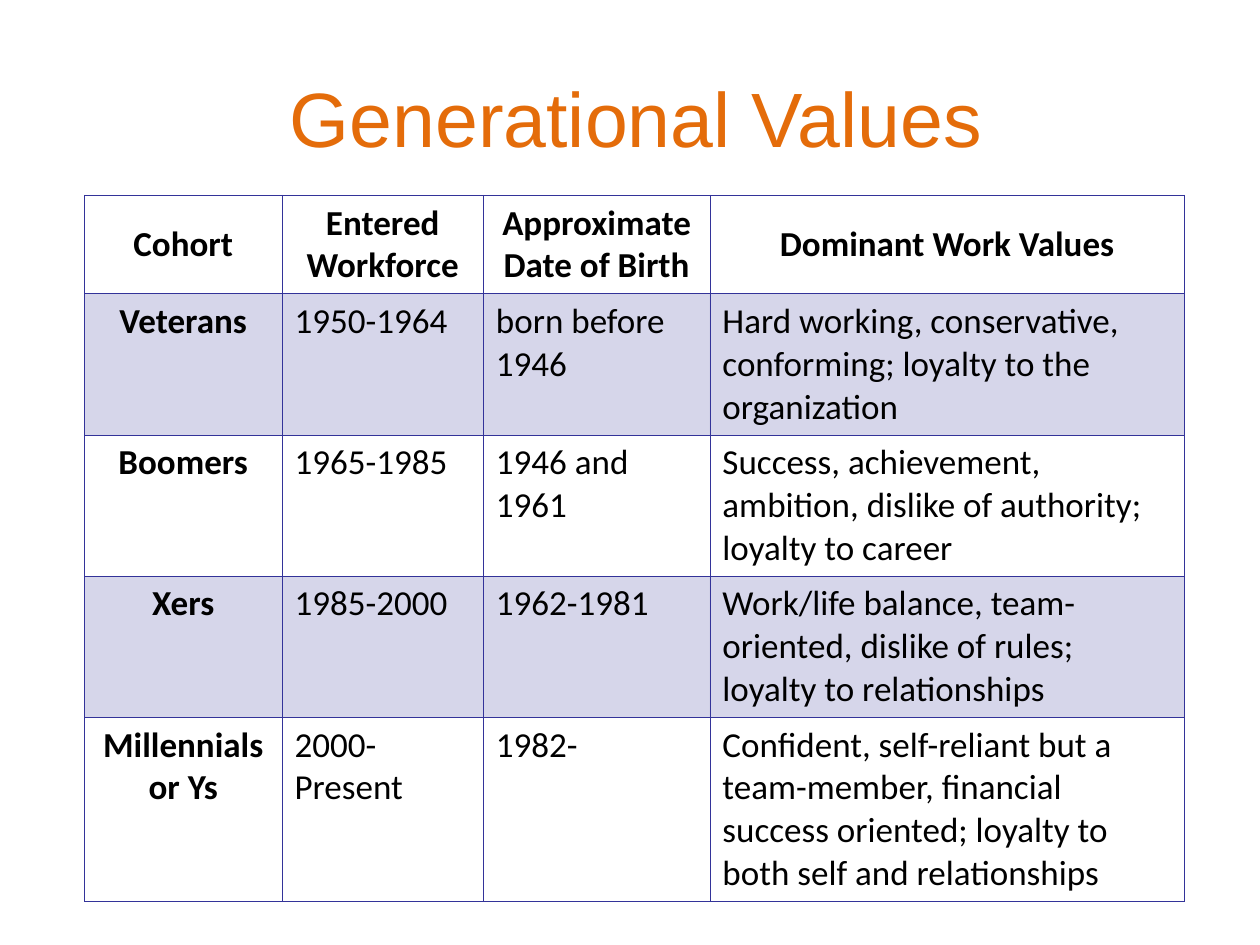
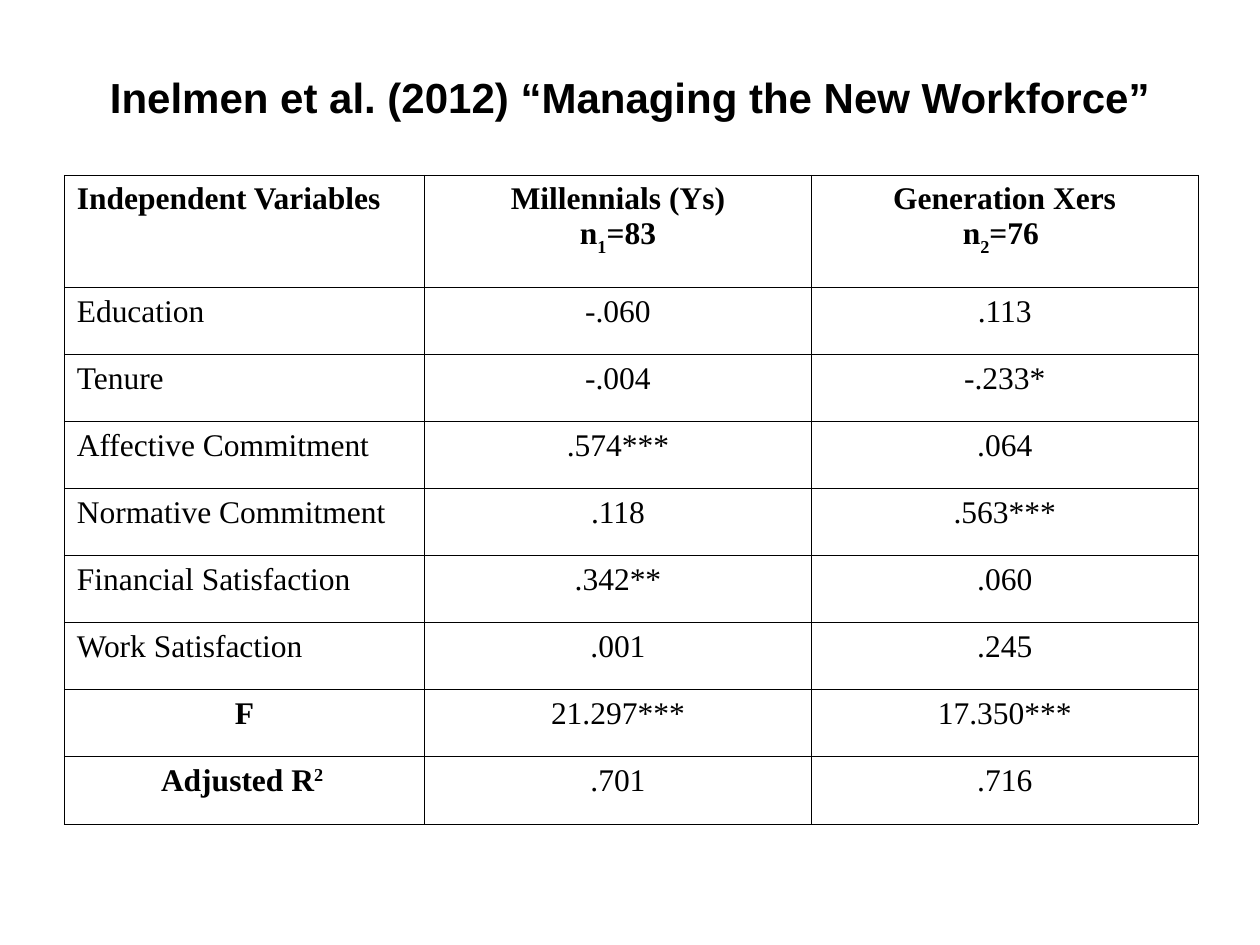
from dataclasses import dataclass
from typing import NamedTuple

from lxml.etree import SubElement
from pptx import Presentation
from pptx.dml.color import RGBColor
from pptx.enum.text import MSO_ANCHOR, PP_ALIGN
from pptx.oxml import parse_xml
from pptx.oxml.ns import nsdecls, qn
from pptx.util import Inches, Pt

PAGE_WIDTH, PAGE_HEIGHT = Inches(10), Inches(7.5)
GRID_COLUMNS, GRID_ROWS = 100, 75
BLACK, ORANGE, INDIGO = "000000", "E46C0A", "333399"
THIN, THICK = 0.45, 0.96
BAND_OPACITY = 20
HANGING = Inches(0.38)
LOWERED, RAISED = -30, 30


class Area(NamedTuple):
    left: float
    top: float
    width: float
    height: float

    def lengths(self) -> tuple[int, int, int, int]:
        across, down = PAGE_WIDTH / GRID_COLUMNS, PAGE_HEIGHT / GRID_ROWS
        return (round(self.left * across), round(self.top * down),
                round(self.width * across), round(self.height * down))


class Span(NamedTuple):
    text: str
    baseline: int = 0


@dataclass(frozen=True)
class Title:
    text: str
    area: Area
    size: int
    color: str
    bold: bool = False
    left_inset: float = 0.1


@dataclass(frozen=True)
class Entry:
    lines: tuple[tuple[Span, ...], ...]
    bold: bool = False
    align: PP_ALIGN = PP_ALIGN.LEFT
    anchor: MSO_ANCHOR = MSO_ANCHOR.TOP
    banded: bool = False


@dataclass(frozen=True)
class Grid:
    area: Area
    column_weights: tuple[float, ...]
    row_weights: tuple[float, ...]
    entries: list[list[Entry]]
    font: str
    size: int
    line_color: str
    header_line: float = THIN
    hanging: int = 0


def rgb(color: str) -> RGBColor:
    return RGBColor.from_string(color)


def entry(text: str, **style) -> Entry:
    return Entry(tuple((Span(line),) for line in text.split("\n")), **style)


def write(para, spans, *, font: str, size: int, color: str = BLACK,
          bold: bool = False, align: PP_ALIGN = PP_ALIGN.LEFT,
          hanging: int = 0) -> None:
    para.alignment = align
    if hanging:
        properties = para._p.get_or_add_pPr()
        properties.set("marL", str(hanging))
        properties.set("indent", str(-hanging))
    for span in spans:
        run = para.add_run()
        run.text = span.text
        run.font.name, run.font.size, run.font.bold = font, Pt(size), bold
        run.font.color.rgb = rgb(color)
        if span.baseline:
            run.font._element.set("baseline", str(span.baseline * 1000))


def paint_cell(cell, banded: bool) -> None:
    if not banded:
        cell.fill.background()
        return
    cell.fill.solid()
    cell.fill.fore_color.rgb = rgb(INDIGO)
    tint = cell._tc.tcPr.find(f".//{qn('a:srgbClr')}")
    SubElement(tint, qn("a:alpha")).set("val", str(BAND_OPACITY * 1000))


def border_cell(cell, color: str, top: float, bottom: float) -> None:
    widths = {"lnL": THIN, "lnR": THIN, "lnT": top, "lnB": bottom}
    for place, (side, width) in enumerate(widths.items()):
        cell._tc.get_or_add_tcPr().insert(place, parse_xml(
            f'<a:{side} {nsdecls("a")} w="{Pt(width)}"><a:solidFill>'
            f'<a:srgbClr val="{color}"/></a:solidFill></a:{side}>'))


def add_grid(page, grid: Grid) -> None:
    left, top, width, height = grid.area.lengths()
    table = page.shapes.add_table(len(grid.row_weights), len(grid.column_weights),
                                  left, top, width, height).table
    table.first_row = table.horz_banding = False
    for column, weight in zip(table.columns, grid.column_weights):
        column.width = round(width * weight / sum(grid.column_weights))
    for row, weight in zip(table.rows, grid.row_weights):
        row.height = round(height * weight / sum(grid.row_weights))
    for row_index, row in enumerate(grid.entries):
        for column_index, item in enumerate(row):
            cell = table.cell(row_index, column_index)
            cell.vertical_anchor = item.anchor
            paint_cell(cell, item.banded)
            border_cell(cell, grid.line_color,
                        grid.header_line if row_index == 1 else THIN,
                        grid.header_line if row_index == 0 else THIN)
            for index, line in enumerate(item.lines):
                frame = cell.text_frame
                para = frame.add_paragraph() if index else frame.paragraphs[0]
                write(para, line, font=grid.font, size=grid.size,
                      bold=item.bold, align=item.align, hanging=grid.hanging)


def add_page(deck, title: Title, grid: Grid) -> None:
    page = deck.slides.add_slide(deck.slide_layouts[5])
    box = page.shapes.title
    box.left, box.top, box.width, box.height = title.area.lengths()
    frame = box.text_frame
    frame.word_wrap = True
    frame.vertical_anchor = MSO_ANCHOR.MIDDLE
    frame.margin_left = Inches(title.left_inset)
    write(frame.paragraphs[0], [Span(title.text)], font="Arial", size=title.size,
          color=title.color, bold=title.bold, align=PP_ALIGN.CENTER)
    add_grid(page, grid)


def cohort_entries() -> list[list[Entry]]:
    headings = ("Cohort", "Entered Workforce", "Approximate Date of Birth",
                "Dominant Work Values")
    cohorts = (
        ("Veterans", "1950-1964", "born before 1946",
         "Hard working, conservative, conforming; loyalty to the organization"),
        ("Boomers", "1965-1985", "1946 and 1961",
         "Success, achievement, ambition, dislike of authority; loyalty to career"),
        ("Xers", "1985-2000", "1962-1981",
         "Work/life balance, team-oriented, dislike of rules; loyalty to relationships"),
        ("Millennials\nor Ys", "2000-Present", "1982-",
         "Confident, self-reliant but a team-member, financial success oriented; "
         "loyalty to both self and relationships"),
    )
    entries = [[entry(text, bold=True, align=PP_ALIGN.CENTER, anchor=MSO_ANCHOR.MIDDLE)
                for text in headings]]
    for index, (name, *facts) in enumerate(cohorts):
        banded = index % 2 == 0
        entries.append([entry(name, bold=True, align=PP_ALIGN.CENTER, banded=banded),
                        *(entry(fact, banded=banded) for fact in facts)])
    return entries


def regression_entries() -> list[list[Entry]]:
    samples = (("Millennials (Ys)", "1", "=83"), ("Generation Xers", "2", "=76 "))
    coefficients = (
        ("Education", "-.060", ".113"),
        ("Tenure", "-.004", "-.233*"),
        ("Affective Commitment", ".574***", ".064"),
        ("Normative Commitment", ".118", ".563***"),
        ("Financial Satisfaction", ".342**", ".060"),
        ("Work Satisfaction", ".001", ".245"),
    )
    fit_measures = (
        ((Span("F"),), "21.297***", "17.350***"),
        ((Span("Adjusted R"), Span("2 ", RAISED)), ".701", ".716"),
    )
    entries = [[entry("Independent Variables", bold=True)]]
    for name, number, count in samples:
        size_line = (Span("n"), Span(number, LOWERED), Span(count))
        entries[0].append(Entry(((Span(name),), size_line), bold=True,
                                align=PP_ALIGN.CENTER))
    labelled = [(entry(name), values) for name, *values in coefficients]
    labelled += [(Entry((spans,), bold=True, align=PP_ALIGN.CENTER), values)
                 for spans, *values in fit_measures]
    for label, values in labelled:
        entries.append([label, *(entry(value, align=PP_ALIGN.CENTER) for value in values)])
    return entries


def main() -> None:
    deck = Presentation()
    deck.slide_width, deck.slide_height = PAGE_WIDTH, PAGE_HEIGHT
    add_page(
        deck,
        Title("Generational Values", Area(5, 3, 90, 12.5), 44, ORANGE, left_inset=0.2),
        Grid(Area(6.7, 15.5, 87.3, 55.1), (1.57, 1.6, 1.8, 3.77),
             (0.77, 1.1, 1.1, 1.1, 1.44), cohort_entries(), "Calibri", 20,
             INDIGO, header_line=THICK))
    add_page(
        deck,
        Title("Inelmen et al. (2012) “Managing the New Workforce”",
              Area(5, 3, 90, 9.3), 24, BLACK, bold=True),
        Grid(Area(5.1, 13.9, 90, 51.5), (2.86, 3.07, 3.07),
             (0.89, *[0.53] * 8), regression_entries(), "Times New Roman", 18,
             BLACK, hanging=HANGING))
    deck.save("out.pptx")


if __name__ == "__main__":
    main()
